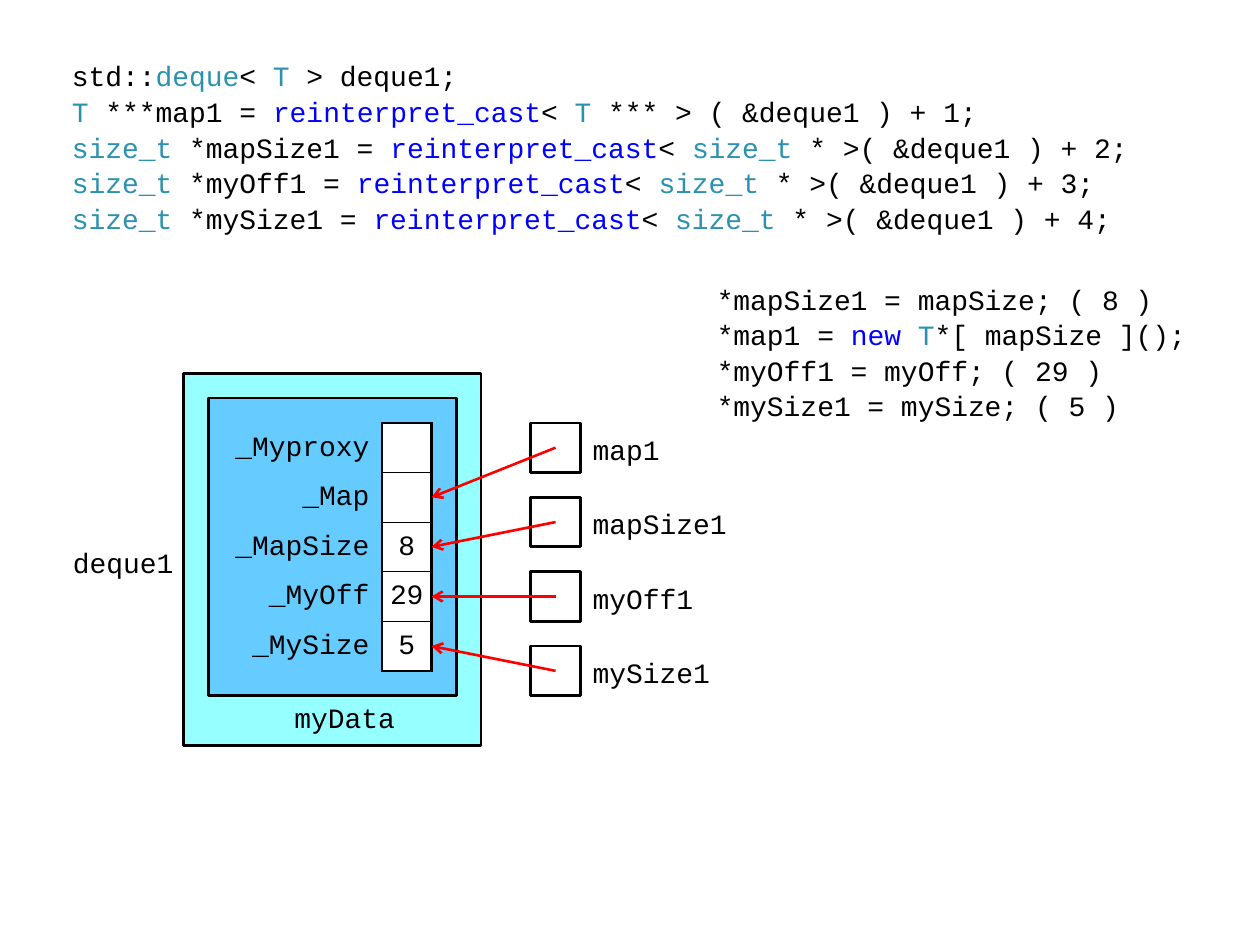
import pptx
import pptx.dml.color
import pptx.enum.shapes
import pptx.enum.text
import pptx.oxml
import pptx.oxml.ns
import pptx.util

RGBColor = pptx.dml.color.RGBColor
SHAPE = pptx.enum.shapes.MSO_SHAPE
ALIGN = pptx.enum.text.PP_ALIGN
ANCHOR = pptx.enum.text.MSO_ANCHOR
Inches = pptx.util.Inches

BLACK = RGBColor(0x00, 0x00, 0x00)
WHITE = RGBColor(0xFF, 0xFF, 0xFF)
TYPE = RGBColor(0x2B, 0x91, 0xAF)
KEYWORD = RGBColor(0x00, 0x00, 0xFF)
ARROW = RGBColor(0xFF, 0x00, 0x00)
OUTER = RGBColor(0x96, 0xFF, 0xFF)
INNER = RGBColor(0x66, 0xCC, 0xFF)
NO_STYLE = "{2D5ABB26-0587-4C30-8999-92F81FD0307C}"

# Content: a line is a list of (text, colour) runs
DECLARATIONS = [
    [("std::", BLACK), ("deque", TYPE), ("< ", BLACK), ("T", TYPE), (" > deque1;", BLACK)],
    [("T", TYPE), (" ***map1 = ", BLACK), ("reinterpret_cast", KEYWORD), ("< ", BLACK),
     ("T", TYPE), (" *** > ( &deque1 ) + 1;", BLACK)],
] + [
    [("size_t", TYPE), (f" *{name} = ", BLACK), ("reinterpret_cast", KEYWORD), ("< ", BLACK),
     ("size_t", TYPE), (f" * >( &deque1 ) + {offset};", BLACK)]
    for offset, name in enumerate(["mapSize1", "myOff1", "mySize1"], start=2)
]
ASSIGNMENTS = [
    [("*mapSize1 = mapSize; ( 8 )", BLACK)],
    [("*map1 = ", BLACK), ("new ", KEYWORD), ("T", TYPE), ("*[ mapSize ]();", BLACK)],
    [("*myOff1 = myOff; ( 29 )", BLACK)],
    [("*mySize1 = mySize; ( 5 )", BLACK)],
]
MEMBERS = [("_Myproxy", ""), ("_Map", ""), ("_MapSize", "8"), ("_MyOff", "29"), ("_MySize", "5")]
POINTERS = ["map1", "mapSize1", "myOff1", "mySize1"]

# Half-centimetre grid, centred on the slide
UNIT = pptx.util.Cm(0.5)
LEFT, TOP = pptx.util.Cm(1.2), pptx.util.Cm(1.025)
FIRST_ROW, POINTER_COLUMN, POINTER_STEP = 15, 19, 3
MEMBER_COLUMN, NAME_WIDTH, CELL = 6, 7, 2


def point(column, row):
    return LEFT + column * UNIT, TOP + row * UNIT


def area(column, row, width, height):
    return (*point(column, row), width * UNIT, height * UNIT)


def write(frame, lines, align=ALIGN.LEFT):
    """Fill a text frame; lines is plain text or a list of coloured lines."""
    if isinstance(lines, str):
        lines = [[(lines, BLACK)]]
    for index, runs in enumerate(lines):
        paragraph = frame.paragraphs[0] if index == 0 else frame.add_paragraph()
        paragraph.alignment = align
        paragraph.line_spacing = 1.06
        for text, color in runs:
            run = paragraph.add_run()
            run.text = text
            run.font.name = "Courier New"
            run.font.size = pptx.util.Pt(16)
            run.font.color.rgb = color


def add_text(slide, place, lines, align=ALIGN.LEFT, anchor=ANCHOR.TOP,
             margins=(0.1, 0.05, 0.1, 0.05)):
    frame = slide.shapes.add_textbox(*place).text_frame
    frame.word_wrap = True
    frame.vertical_anchor = anchor
    (frame.margin_left, frame.margin_top,
     frame.margin_right, frame.margin_bottom) = map(Inches, margins)
    write(frame, lines, align)


def add_box(slide, kind, place, color):
    shape = slide.shapes.add_shape(kind, *place)
    shape.shadow.inherit = False
    shape.fill.solid()
    shape.fill.fore_color.rgb = color
    shape.line.color.rgb = BLACK
    shape.line.width = pptx.util.Pt(1.5)


def add_arrow(slide, start, end):
    connector = slide.shapes.add_connector(
        pptx.enum.shapes.MSO_CONNECTOR.STRAIGHT, *start, *end)
    connector.line.color.rgb = ARROW
    connector.line.width = pptx.util.Pt(1.5)
    line = connector.line._get_or_add_ln()
    line.append(pptx.oxml.parse_xml(
        f'<a:tailEnd {pptx.oxml.ns.nsdecls("a")} type="arrow"/>'))
    connector._element.spPr.append(pptx.oxml.parse_xml(
        f'<a:effectLst {pptx.oxml.ns.nsdecls("a")}/>'))


def set_borders(cell, **widths):
    properties = cell._tc.get_or_add_tcPr()
    for index, side in enumerate("LRTB"):
        width = pptx.util.Pt(widths[side])
        properties.insert(index, pptx.oxml.parse_xml(
            f'<a:ln{side} {pptx.oxml.ns.nsdecls("a")} w="{width}"><a:solidFill>'
            f'<a:srgbClr val="{BLACK}"/></a:solidFill></a:ln{side}>'))


def add_members(slide):
    count = len(MEMBERS)
    table = slide.shapes.add_table(
        count, 2, *area(MEMBER_COLUMN, FIRST_ROW, NAME_WIDTH + CELL, count * CELL)).table
    table.first_row = table.horz_banding = False
    table._tbl.tblPr.find(pptx.oxml.ns.qn("a:tableStyleId")).text = NO_STYLE
    table.columns[0].width = NAME_WIDTH * UNIT
    table.columns[1].width = CELL * UNIT
    for index, (name, value) in enumerate(MEMBERS):
        name_cell, value_cell = table.cell(index, 0), table.cell(index, 1)
        for cell, text, align, side_margin in (
                (name_cell, name, ALIGN.RIGHT, 0.1), (value_cell, value, ALIGN.CENTER, 0)):
            cell.vertical_anchor = ANCHOR.MIDDLE
            cell.margin_left = cell.margin_right = Inches(side_margin)
            cell.margin_top = cell.margin_bottom = Inches(0.04)
            write(cell.text_frame, text, align)
        name_cell.fill.background()
        value_cell.fill.solid()
        value_cell.fill.fore_color.rgb = WHITE
        set_borders(value_cell, L=1.5, R=1.5, T=0.75 if index else 1.5,
                    B=0.75 if index < count - 1 else 1.5)


def main():
    presentation = pptx.Presentation()
    presentation.slide_width, presentation.slide_height = Inches(10), Inches(7.5)
    slide = presentation.slides.add_slide(presentation.slide_layouts[6])

    # Code
    add_text(slide, area(0, 0, 46, 8), DECLARATIONS)
    add_text(slide, area(26, 9, 20, 6), ASSIGNMENTS)

    # Pointer variables
    pointer_rows = [FIRST_ROW + POINTER_STEP * index for index in range(len(POINTERS))]
    for name, row in zip(POINTERS, pointer_rows):
        add_box(slide, SHAPE.RECTANGLE, area(POINTER_COLUMN, row, CELL, CELL), WHITE)
        add_text(slide, area(POINTER_COLUMN + CELL, row, 6, CELL), name,
                 margins=(0.1, 0.06, 0, 0))

    # Deque object and its members
    add_box(slide, SHAPE.FLOWCHART_PROCESS, area(5, 13, 12, 15), OUTER)
    add_box(slide, SHAPE.FLOWCHART_PROCESS, area(6, 14, 10, 12), INNER)
    add_text(slide, area(0, 19, 5, 3), "deque1", align=ALIGN.RIGHT, anchor=ANCHOR.MIDDLE,
             margins=(0.08, 0.04, 0.08, 0))
    add_text(slide, area(9, 26, 5, 2), "myData", align=ALIGN.CENTER,
             margins=(0.08, 0.02, 0.08, 0))
    add_members(slide)

    # Arrows from each pointer to its member, skipping the proxy
    for index, row in enumerate(pointer_rows, start=1):
        add_arrow(slide, point(POINTER_COLUMN + CELL / 2, row + CELL / 2),
                  point(MEMBER_COLUMN + NAME_WIDTH + CELL, FIRST_ROW + CELL * (index + 0.5)))

    presentation.save("out.pptx")


if __name__ == "__main__":
    main()
